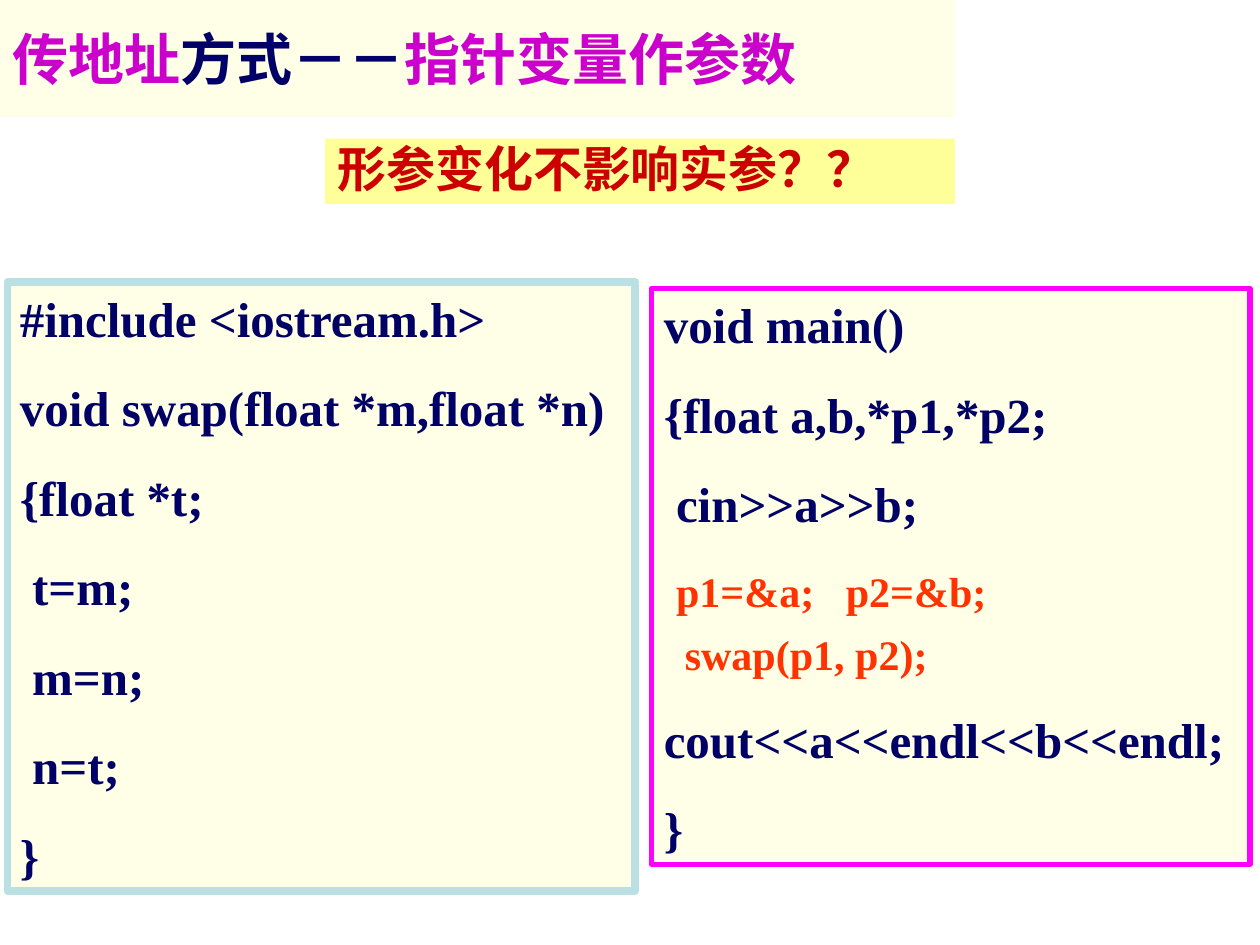
import pptx
import pptx.util
import pptx.dml.color
import pptx.enum.shapes
import pptx.enum.text
import pptx.oxml.ns
import lxml.etree

Inches = pptx.util.Inches
Pt = pptx.util.Pt
ANCHOR = pptx.enum.text.MSO_ANCHOR
COLORS = {
    "cream": "FFFFE7",
    "yellow": "FFFF99",
    "pale_blue": "BBE0E3",
    "magenta": "FF00FF",
    "purple": "CC00CC",
    "navy": "000066",
    "orange": "FF3300",
    "red": "CC0000",
}
CHINESE_FONT = "Noto Sans CJK SC"
CODE_FONT = "Times New Roman"


def color(name):
    return pptx.dml.color.RGBColor.from_string(COLORS[name])


def add_panel(slide, box, fill, paragraphs, font_name, border=None, grow=True):
    shape = slide.shapes.add_shape(
        pptx.enum.shapes.MSO_SHAPE.RECTANGLE, *[Inches(length) for length in box])
    shape.shadow.inherit = False
    shape.fill.solid()
    shape.fill.fore_color.rgb = color(fill)
    if border:
        shape.line.color.rgb = color(border[0])
        shape.line.width = Pt(border[1])
    else:
        shape.line.fill.background()
    frame = shape.text_frame
    frame.word_wrap = True
    frame.vertical_anchor = ANCHOR.TOP if grow else ANCHOR.MIDDLE
    if grow:
        frame.auto_size = pptx.enum.text.MSO_AUTO_SIZE.SHAPE_TO_FIT_TEXT
    for index, (size, space_before, runs) in enumerate(paragraphs):
        paragraph = frame.add_paragraph() if index else frame.paragraphs[0]
        paragraph.alignment = pptx.enum.text.PP_ALIGN.LEFT
        paragraph.space_before = Pt(space_before if index else 0)
        paragraph.font.name = font_name
        paragraph.font.size = Pt(size)
        paragraph.font.bold = True
        properties = paragraph._p.pPr.find(pptx.oxml.ns.qn("a:defRPr"))
        east_asian = lxml.etree.SubElement(properties, pptx.oxml.ns.qn("a:ea"))
        east_asian.set("typeface", font_name)
        for text, color_name in runs:
            run = paragraph.add_run()
            run.text = text
            if len(runs) > 1:
                run.font.color.rgb = color(color_name)
            else:
                paragraph.font.color.rgb = color(color_name)
    return shape


presentation = pptx.Presentation()
presentation.slide_width = Inches(10)
presentation.slide_height = Inches(7.5)
slide = presentation.slides.add_slide(presentation.slide_layouts[6])

title_runs = [("传地址", "purple"), ("方式－－", "navy"), ("指针变量作参数", "purple")]
add_panel(slide, (0, 0, 7.58, 0.93), "cream", [(32, 0, title_runs)],
          CHINESE_FONT, grow=False)

main_code = [
    (28, 17.5, [("void main()", "navy")]),
    (28, 17.5, [("{float a,b,*p1,*p2;", "navy")]),
    (28, 17.5, [(" cin>>a>>b;", "navy")]),
    (24, 15, [(" ", "navy"), ("p1=&a;   p2=&b;", "orange")]),
    (24, 6, [("  swap(p1, p2);", "orange")]),
    (28, 17.5, [("cout<<a<<endl<<b<<endl;", "navy")]),
    (28, 17.5, [("}", "navy")]),
]
main_panel = add_panel(slide, (5.17, 2.29, 4.75, 4.57), "cream", main_code,
                       CODE_FONT, border=("magenta", 3))
main_panel.text_frame.paragraphs[3].runs[0].font.size = Pt(28)

swap_lines = ["#include <iostream.h>", "void swap(float *m,float *n)", "{float *t;",
              " t=m;", " m=n;", " n=t;", "}"]
swap_code = [(28, 17.5, [(line, "navy")]) for line in swap_lines]
add_panel(slide, (0.06, 2.24, 4.98, 4.83), "cream", swap_code,
          CODE_FONT, border=("pale_blue", 4.5))

question = add_panel(slide, (2.58, 1.1, 5, 0.52), "yellow",
                     [(28, 0, [("形参变化不影响实参？？", "red")])], CHINESE_FONT)
question.text_frame.paragraphs[0].line_spacing = 0.9

presentation.save("out.pptx")
